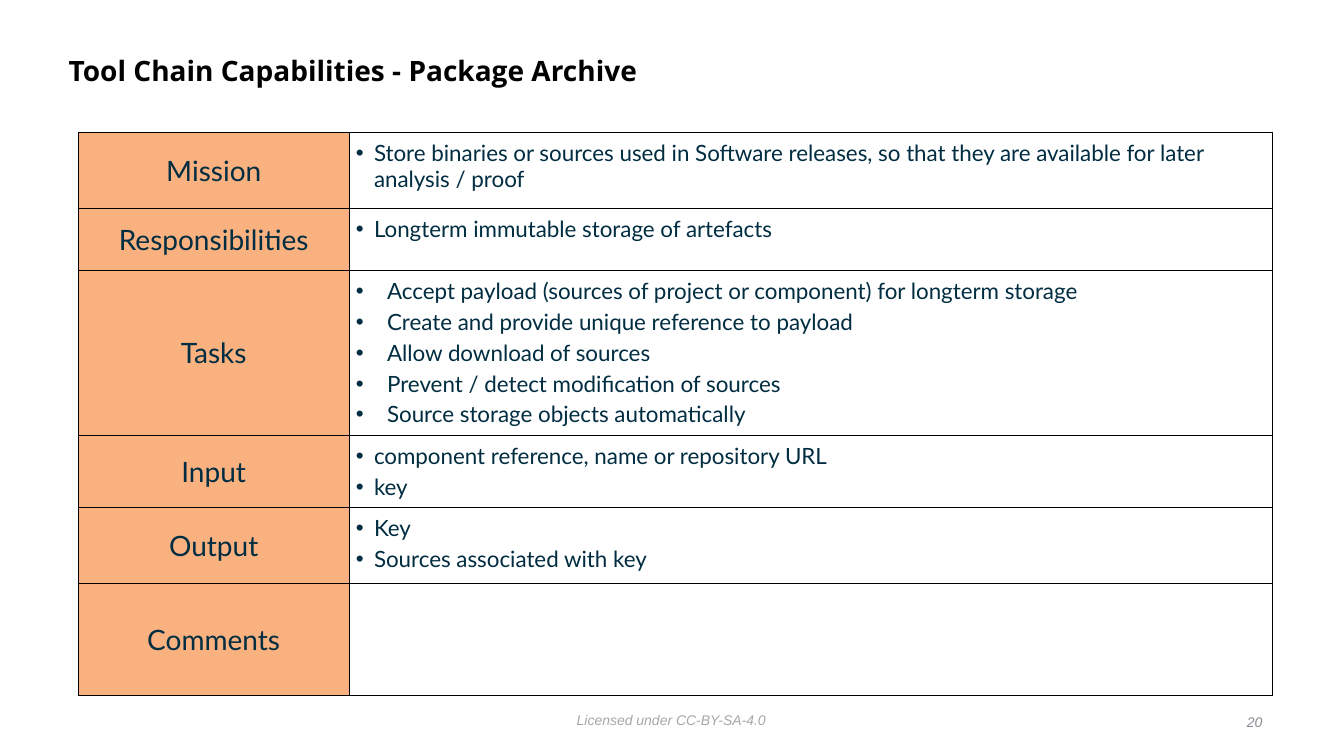
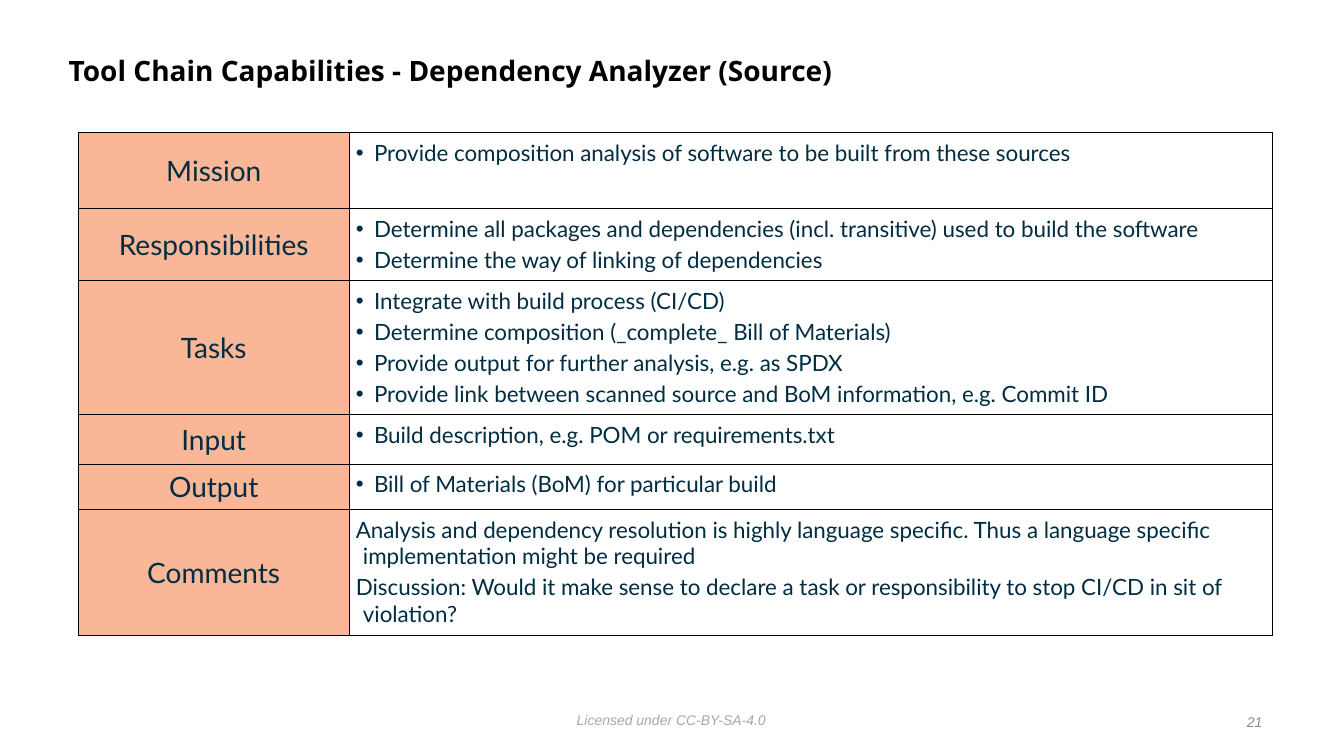
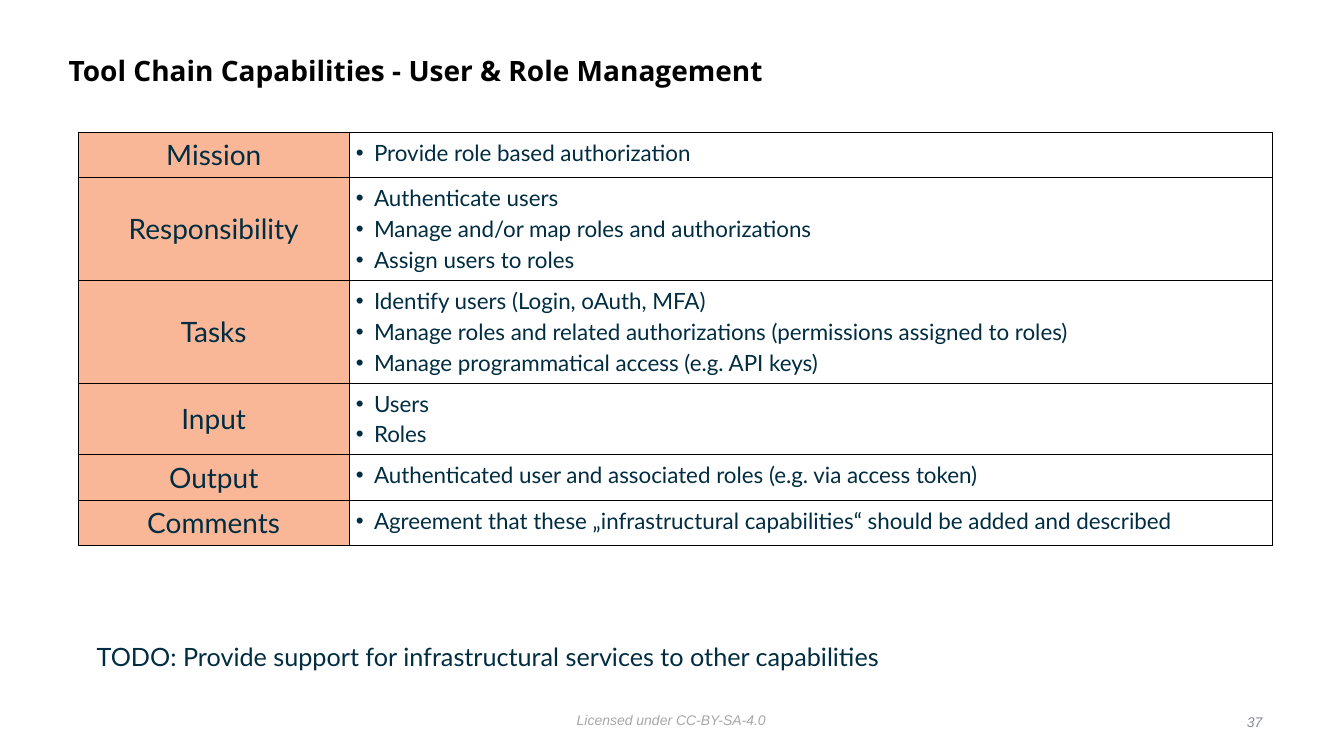
"""Build three tool chain capability slides, each with a title, a table and a footer."""
from lxml.etree import SubElement
from pptx import Presentation
from pptx.dml.color import RGBColor
from pptx.enum.text import MSO_ANCHOR, PP_ALIGN
from pptx.oxml import parse_xml
from pptx.oxml.ns import nsdecls, qn
from pptx.util import Inches, Pt

COLORS = {
    "title": "000000",
    "text": "002D41",
    "border": "000000",
    "license": "A7A7A7",
    "number": "888C91",
    "orange": "F66503",
    "peach": "FAB798",
}
STYLES = {
    "title": {"name": "Open Sans", "size": Pt(20), "bold": True},
    "label": {"name": "Lato", "size": Pt(20)},
    "body": {"name": "Lato", "size": Pt(16)},
    "todo": {"name": "Lato", "size": Pt(18)},
    "license": {"name": "Arial", "size": Pt(10), "italic": True},
    "number": {"name": "Arial", "size": Pt(10), "italic": True},
}
INDENTS = {"bullet": 0.18, "wide bullet": 0.31, "plain": 0.07}
COLUMN_WIDTHS = [2.68, 9.16]

SLIDES = [
    {
        "title": "Package Archive",
        "number": "20",
        "fill": "orange",
        "opacity": 50,
        "rows": [
            ("Mission", 0.76, "bullet", [
                "Store binaries or sources used in Software releases, so that they are "
                "available for later analysis / proof",
            ]),
            ("Responsibilities", 0.61, "bullet", ["Longterm immutable storage of artefacts"]),
            ("Tasks", 1.64, "wide bullet", [
                "Accept payload (sources of project or component) for longterm storage",
                "Create and provide unique reference to payload",
                "Allow download of sources",
                "Prevent / detect modification of sources",
                "Source storage objects automatically",
            ]),
            ("Input", 0.71, "bullet", ["component reference, name or repository URL", "key"]),
            ("Output", 0.76, "bullet", ["Key", "Sources associated with key"]),
            ("Comments", 1.11, "plain", []),
        ],
    },
    {
        "title": "Dependency Analyzer (Source)",
        "number": "21",
        "fill": "peach",
        "rows": [
            ("Mission", 0.76, "bullet", [
                "Provide composition analysis of software to be built from these sources",
            ]),
            ("Responsibilities", 0.71, "bullet", [
                "Determine all packages and dependencies (incl. transitive) used to build "
                "the software",
                "Determine the way of linking of dependencies",
            ]),
            ("Tasks", 1.33, "bullet", [
                "Integrate with build process (CI/CD)",
                "Determine composition (_complete_ Bill of Materials)",
                "Provide output for further analysis, e.g. as SPDX",
                "Provide link between scanned source and BoM information, e.g. Commit ID",
            ]),
            ("Input", 0.49, "bullet", ["Build description, e.g. POM or requirements.txt"]),
            ("Output", 0.45, "bullet", ["Bill of Materials (BoM) for particular build"]),
            ("Comments", 1.25, "plain", [
                "Analysis and dependency resolution is highly language specific. Thus a "
                "language specific implementation might be required",
                "Discussion: Would it make sense to declare a task or responsibility to "
                "stop CI/CD in sit of violation?",
            ]),
        ],
    },
    {
        "title": "User & Role Management",
        "number": "37",
        "fill": "peach",
        "todo": "TODO: Provide support for infrastructural services to other capabilities",
        "rows": [
            ("Mission", 0.45, "bullet", ["Provide role based authorization"]),
            ("Responsibility", 1.02, "bullet", [
                "Authenticate users",
                "Manage and/or map roles and authorizations",
                "Assign users to roles",
            ]),
            ("Tasks", 1.02, "bullet", [
                "Identify users (Login, oAuth, MFA)",
                "Manage roles and related authorizations (permissions assigned to roles)",
                "Manage programmatical access (e.g. API keys)",
            ]),
            ("Input", 0.71, "bullet", ["Users", "Roles"]),
            ("Output", 0.45, "bullet", [
                "Authenticated user and associated roles (e.g. via access token)",
            ]),
            ("Comments", 0.45, "bullet", [
                "Agreement that these „infrastructural capabilities“ should be added and described",
            ]),
        ],
    },
]


def write(paragraph, text, style, color):
    """Add a formatted run to a paragraph."""
    run = paragraph.add_run()
    run.text = text
    for name, value in STYLES[style].items():
        setattr(run.font, name, value)
    run.font.color.rgb = RGBColor.from_string(COLORS[color])


def set_margins(target, inches):
    """Give a cell or a text frame the same margin on all sides."""
    for side in ("left", "top", "right", "bottom"):
        setattr(target, f"margin_{side}", Inches(inches))


presentation = Presentation()
presentation.slide_width = Inches(13.33)
presentation.slide_height = Inches(7.5)

for content in SLIDES:
    slide = presentation.slides.add_slide(presentation.slide_layouts[5])

    title = slide.shapes.title
    title.left, title.top = Inches(0.63), Inches(0.39)
    title.width, title.height = Inches(10.75), Inches(0.65)
    title.text_frame.vertical_anchor = MSO_ANCHOR.MIDDLE
    title.text_frame.word_wrap = True
    set_margins(title.text_frame, 0.05)
    paragraph = title.text_frame.paragraphs[0]
    paragraph.alignment = PP_ALIGN.LEFT
    paragraph.line_spacing = 0.9
    write(paragraph, f"Tool Chain Capabilities - {content['title']}", "title", "title")

    rows = content["rows"]
    table_height = sum(height for _, height, _, _ in rows)
    table = slide.shapes.add_table(
        len(rows), 2, Inches(0.78), Inches(1.31), Inches(sum(COLUMN_WIDTHS)), Inches(table_height)
    ).table
    table.first_row = False
    table.horz_banding = False
    for column, width in zip(table.columns, COLUMN_WIDTHS):
        column.width = Inches(width)

    for row, (label, height, kind, lines) in zip(table.rows, rows):
        row.height = Inches(height)
        label_cell, body_cell = row.cells

        set_margins(label_cell, 0)
        label_cell.vertical_anchor = MSO_ANCHOR.MIDDLE
        paragraph = label_cell.text_frame.paragraphs[0]
        paragraph.alignment = PP_ALIGN.CENTER
        write(paragraph, label, "label", "text")
        label_cell.fill.solid()
        label_cell.fill.fore_color.rgb = RGBColor.from_string(COLORS[content["fill"]])
        if "opacity" in content:
            fill_color = label_cell._tc.tcPr.find(qn("a:solidFill"))[0]
            SubElement(fill_color, qn("a:alpha")).set("val", str(content["opacity"] * 1000))

        set_margins(body_cell, 0.07)
        body_cell.fill.background()
        for index, line in enumerate(lines):
            frame = body_cell.text_frame
            paragraph = frame.add_paragraph() if index else frame.paragraphs[0]
            properties = paragraph._p.get_or_add_pPr()
            properties.set("marL", str(Inches(INDENTS[kind])))
            properties.set("indent", str(-Inches(INDENTS[kind])))
            if kind != "plain":
                SubElement(properties, qn("a:buFont")).set("typeface", "Arial")
                SubElement(properties, qn("a:buChar")).set("char", "•")
            paragraph.space_before = Pt(3 if index else 0)
            write(paragraph, line, "body", "text")

        for cell in row.cells:
            for position, side in enumerate(("lnL", "lnR", "lnT", "lnB")):
                border = parse_xml(
                    f'<a:{side} {nsdecls("a")} w="{Pt(0.5)}"><a:solidFill>'
                    f'<a:srgbClr val="{COLORS["border"]}"/></a:solidFill></a:{side}>'
                )
                cell._tc.tcPr.insert(position, border)

    notes = [
        ("Licensed under CC-BY-SA-4.0", "license", PP_ALIGN.LEFT, (5.67, 7.01, 1.99, 0.25)),
        (content["number"], "number", PP_ALIGN.RIGHT, (12.27, 7.03, 0.3, 0.25)),
    ]
    if "todo" in content:
        notes.append((content["todo"], "todo", PP_ALIGN.LEFT, (0.91, 6.31, 8.04, 0.4)))
    for text, style, alignment, box in notes:
        frame = slide.shapes.add_textbox(*map(Inches, box)).text_frame
        frame.word_wrap = False
        set_margins(frame, 0.05)
        paragraph = frame.paragraphs[0]
        paragraph.alignment = alignment
        write(paragraph, text, style, "text" if style == "todo" else style)

presentation.save("out.pptx")
